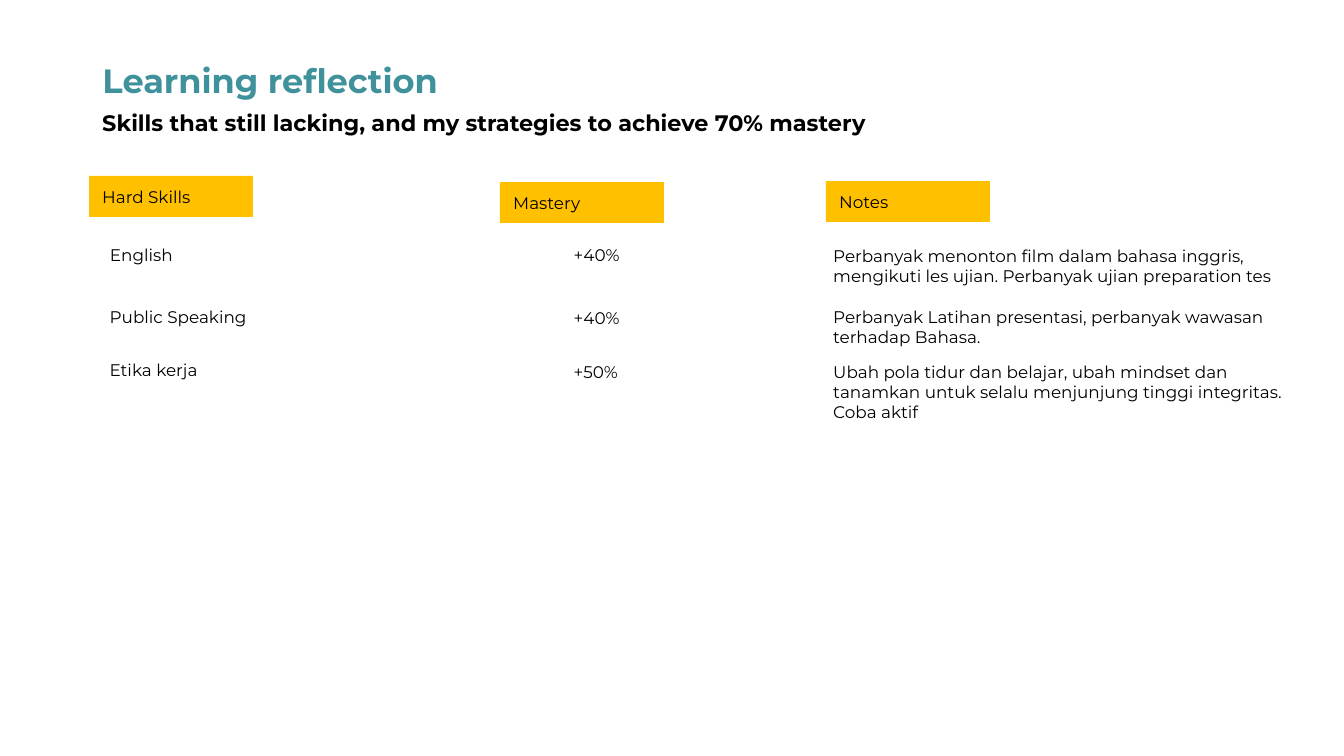
"""Build the learning reflection slide with skills, mastery and notes."""
from pptx import Presentation
from pptx.dml.color import RGBColor
from pptx.enum.shapes import MSO_SHAPE
from pptx.enum.text import MSO_ANCHOR, MSO_AUTO_SIZE, PP_ALIGN
from pptx.oxml.ns import qn
from pptx.util import Pt
from lxml import etree

PX = 914400 / 134.4
TEAL = RGBColor(0x3F, 0x92, 0x9C)
AMBER = RGBColor(0xFF, 0xC0, 0x00)
BLACK = RGBColor(0x00, 0x00, 0x00)
RECTANGLE = MSO_SHAPE.RECTANGLE
TOP, MIDDLE, BOTTOM = MSO_ANCHOR.TOP, MSO_ANCHOR.MIDDLE, MSO_ANCHOR.BOTTOM
NO_AUTOFIT = MSO_AUTO_SIZE.NONE
LEFT = PP_ALIGN.LEFT


def emu(*lengths):
    return [round(length * PX) for length in lengths]


def write(shape, box, text, size=9, color=BLACK, bold=False, anchor=TOP, hanging=False):
    shape.left, shape.top, shape.width, shape.height = emu(*box)
    frame = shape.text_frame
    frame.text = text
    frame.word_wrap = True
    frame.auto_size = NO_AUTOFIT
    frame.vertical_anchor = anchor
    paragraph = frame.paragraphs[0]
    paragraph.alignment = LEFT
    paragraph.space_before = Pt(0)
    if hanging:
        paragraph.line_spacing = 0.9
        properties = paragraph._p.get_or_add_pPr()
        margin, = emu(67)
        properties.set("marL", str(margin))
        properties.set("indent", str(-margin // 2))
        etree.SubElement(properties, qn("a:buNone"))
    font = paragraph.font
    font.name = "Montserrat"
    font.size = Pt(size)
    font.bold = bold
    font.color.rgb = color


presentation = Presentation()
presentation.slide_width, presentation.slide_height = emu(1344, 756)
slide = presentation.slides.add_slide(presentation.slide_layouts[1])
shapes = slide.shapes

write(shapes.title, (89, 53, 461, 54), "Learning reflection", 18, TEAL, True)
subtitle = shapes.add_textbox(0, 0, 0, 0)
write(subtitle, (89, 103, 880, 40),
      "Skills that still lacking, and my strategies to achieve 70% mastery", 12, bold=True)

for heading, left, top in [("Hard Skills", 89, 176), ("Mastery", 500, 182), ("Notes", 826, 181)]:
    label = shapes.add_shape(RECTANGLE, 0, 0, 0, 0)
    label.shadow.inherit = False
    label.fill.solid()
    label.fill.fore_color.rgb = AMBER
    label.line.fill.background()
    write(label, (left, top, 164, 41), heading, anchor=MIDDLE)

rows = [
    ("English", 238, "+40%", 238,
     "Perbanyak menonton film dalam bahasa inggris, mengikuti les ujian. "
     "Perbanyak ujian preparation tes", 239),
    ("Public Speaking", 300, "+40%", 301,
     "Perbanyak Latihan presentasi, perbanyak wawasan terhadap Bahasa.", 300),
    ("Etika kerja", 353, "+50%", 355,
     "Ubah pola tidur dan belajar, ubah mindset dan tanamkan untuk selalu "
     "menjunjung tinggi integritas. Coba aktif", 355),
]
for index, (skill, skill_top, mastery, mastery_top, note, note_top) in enumerate(rows):
    skill_box = shapes.add_textbox(0, 0, 0, 0) if index else slide.placeholders[1]
    write(skill_box, (63, skill_top, 438, 34), skill, anchor=BOTTOM, hanging=True)
    mastery_box = shapes.add_textbox(0, 0, 0, 0)
    write(mastery_box, (527, mastery_top, 300, 34), mastery, anchor=BOTTOM, hanging=True)
    note_box = shapes.add_textbox(0, 0, 0, 0)
    write(note_box, (820, note_top, 508, 54), note)

presentation.save("out.pptx")
